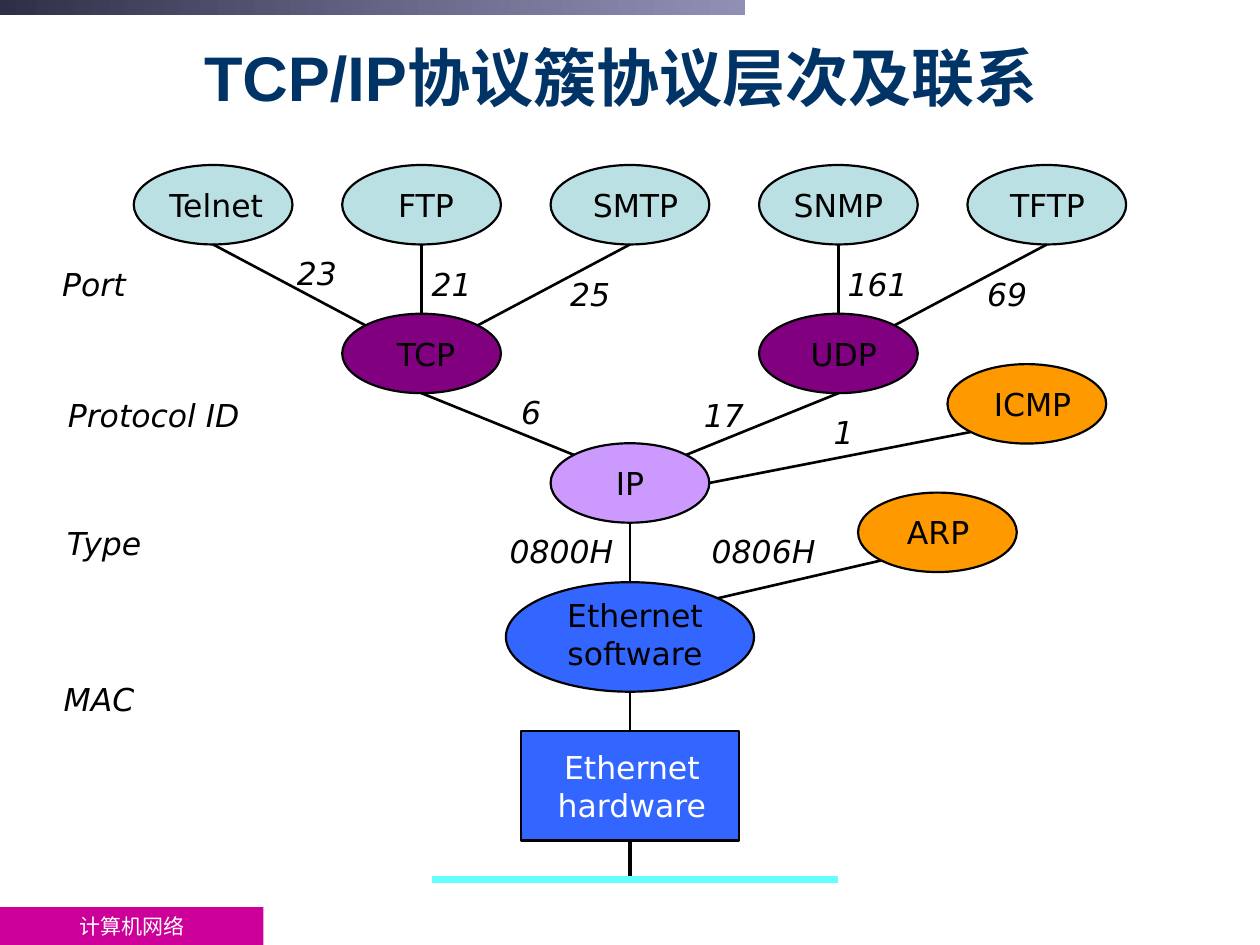
from dataclasses import dataclass
from math import sqrt
from typing import NamedTuple

from lxml import etree
from pptx import Presentation
from pptx.dml.color import RGBColor
from pptx.enum.shapes import MSO_CONNECTOR, MSO_SHAPE
from pptx.enum.text import MSO_ANCHOR, PP_ALIGN
from pptx.oxml.ns import qn
from pptx.util import Pt

OVAL, RECT = MSO_SHAPE.OVAL, MSO_SHAPE.RECTANGLE
STRAIGHT = MSO_CONNECTOR.STRAIGHT
MIDDLE, CENTER = MSO_ANCHOR.MIDDLE, PP_ALIGN.CENTER


@dataclass(frozen=True)
class Theme:
    black: str = "000000"
    white: str = "FFFFFF"
    navy: str = "003366"
    pale: str = "BBE0E3"
    purple: str = "800080"
    lilac: str = "CC99FF"
    orange: str = "FF9900"
    blue: str = "3366FF"
    cyan: str = "66FFFF"
    pink: str = "CC0099"
    dark: str = "2F2F47"
    slate: str = "666699"
    font: str = "DejaVu Sans"
    head_font: str = "Arial"
    foot_font: str = "Times New Roman"
    head: float = 36
    body: float = 18
    foot: float = 12
    edge: float = 1.25
    link: float = 1.5


T = Theme()
LINE = 21.6  # height of one line of body text


class Box(NamedTuple):
    x: float
    y: float
    w: float
    h: float


class Node(NamedTuple):
    text: str
    x: float  # centre
    y: float
    fill: str
    span: float  # caption width
    shift: float = 0  # caption offset from the centre
    w: float = 90.7
    h: float = 45.4
    kind: int = OVAL
    ink: str = T.black
    rows: int = 1
    lift: float = 0


class Link(NamedTuple):
    start: str
    side: str
    end: str
    goal: str


class Label(NamedTuple):
    text: str
    x: float
    y: float
    w: float


def col(i: int) -> float:
    return 360 + 119.1 * (i - 2)


APPS, HOSTS = 117, 202  # centre lines of the two upper rows
NODES = [
    Node("Ethernet hardware", col(2), 449, T.blue, 124.6, 1.1, 124.6, 62.6,
         RECT, T.white, rows=2),
    Node("Ethernet software", col(2), 364, T.blue, 79.2, 2.9, 141.8, 62.6,
         rows=2, lift=1.8),
    Node("ARP", 535.7, 304.2, T.orange, 45.4, 0.4),
    Node("IP", col(2), 276, T.lilac, 33.8),
    Node("ICMP", 586.8, 230.8, T.orange, 62.6, 3.2),
    Node("UDP", col(3), HOSTS, T.purple, 39.6, 3),
    Node("TCP", col(1), HOSTS, T.purple, 39.6, 2.5),
    Node("TFTP", col(4), APPS, T.pale, 56.9, 0.4),
    Node("SNMP", col(3), APPS, T.pale, 56.9),
    Node("SMTP", col(2), APPS, T.pale, 62.6, 3.2),
    Node("FTP", col(1), APPS, T.pale, 51.1, 2.5),
    Node("Telnet", col(0), APPS, T.pale, 62.6, 1.8),
]

# Sides are compass points on the outline of a node.
LINKS = [
    Link("Telnet", "S", "TCP", "NW"),
    Link("FTP", "S", "TCP", "N"),
    Link("SMTP", "S", "TCP", "NE"),
    Link("SNMP", "S", "UDP", "N"),
    Link("TFTP", "S", "UDP", "NE"),
    Link("TCP", "S", "IP", "NW"),
    Link("ICMP", "SW", "IP", "E"),
    Link("UDP", "S", "IP", "NE"),
    Link("IP", "S", "Ethernet software", "N"),
    Link("ARP", "SW", "Ethernet software", "NE"),
    Link("Ethernet software", "S", "Ethernet hardware", "N"),
]

LABELS = [
    Label("Port", 31, 151.2, 45.4),
    Label("Protocol ID", 36.7, 226.1, 102.2),
    Label("Type", 31, 299.5, 56.9),
    Label("MAC", 31, 388.8, 51.1),
    Label("23", 167, 145.4, 28.1),
    Label("21", 241.2, 151.2, 33.8),
    Label("25", 320.4, 157, 33.8),
    Label("161", 478.8, 151.2, 45.4),
    Label("69", 558.7, 157, 33.8),
    Label("6", 292.3, 224.6, 22.3),
    Label("17", 399.6, 226.1, 28.1),
    Label("1", 468, 236.2, 28.1),
    Label("0800H", 286.6, 303.8, 68.4),
    Label("0806H", 405.4, 303.8, 61.9),
]


def rgb(code: str) -> RGBColor:
    return RGBColor.from_string(code)


def shape(slide, kind: int, box: Box, fill: str = "", edge: str = ""):
    item = slide.shapes.add_shape(kind, *map(Pt, box))
    item.shadow.inherit = False
    if fill:
        item.fill.solid()
        item.fill.fore_color.rgb = rgb(fill)
    if edge:
        item.line.color.rgb = rgb(edge)
        item.line.width = Pt(T.edge)
    else:
        item.line.fill.background()
    return item


def write(item, text: str, ink: str = T.black, size: float = T.body,
          font: str = T.font, bold: bool = False, slant: bool = False) -> None:
    frame = item.text_frame
    frame.word_wrap = True
    frame.vertical_anchor = MIDDLE
    frame.margin_left = frame.margin_right = 0
    frame.margin_top = frame.margin_bottom = 0
    para = frame.paragraphs[0]
    para.text = text
    para.alignment = CENTER
    face = para.font
    face.name, face.size, face.color.rgb = font, Pt(size), rgb(ink)
    face.bold, face.italic = bold, slant


def text_box(slide, box: Box, text: str, **style) -> None:
    write(slide.shapes.add_textbox(*map(Pt, box)), text, **style)


def line(slide, start: tuple[float, float], end: tuple[float, float],
         width: float = T.link, ink: str = T.black) -> None:
    item = slide.shapes.add_connector(STRAIGHT, *map(Pt, (*start, *end)))
    item.line.color.rgb = rgb(ink)
    item.line.width = Pt(width)
    etree.SubElement(item.element.spPr, qn("a:effectLst"))


def port(node: Node, side: str) -> tuple[float, float]:
    """Point where a link meets the outline on the given compass side."""
    dx = ("E" in side) - ("W" in side)
    dy = ("S" in side) - ("N" in side)
    scale = 2 * sqrt(abs(dx) + abs(dy))
    return node.x + dx * node.w / scale, node.y + dy * node.h / scale


def frame_bars(slide) -> None:
    foot = shape(slide, RECT, Box(0, 518.4, 150.5, 21.6), T.pink)
    write(foot, "计算机网络", T.white, T.foot, T.foot_font)
    bar = shape(slide, RECT, Box(0, 0, 425.5, 8.6))
    bar.fill.gradient()
    bar.fill.gradient_angle = 0
    for stop, ink, place in zip(bar.fill.gradient_stops, (T.dark, T.slate), (0, 1)):
        stop.color.rgb, stop.position = rgb(ink), place
    last = list(bar.element.spPr.iter(qn("a:srgbClr")))[-1]
    etree.SubElement(last, qn("a:alpha"), val="72000")


def main() -> None:
    deck = Presentation()
    deck.slide_width, deck.slide_height = Pt(720), Pt(540)
    slide = deck.slides.add_slide(deck.slide_layouts[6])
    frame_bars(slide)
    for n in NODES:
        shape(slide, n.kind, Box(n.x - n.w / 2, n.y - n.h / 2, n.w, n.h), n.fill, T.black)
    text_box(slide, Box(93.6, 15.1, 522, 56.9), "TCP/IP协议簇协议层次及联系",
             ink=T.navy, size=T.head, font=T.head_font, bold=True)
    for n in reversed(NODES):
        high = n.rows * LINE
        text_box(slide, Box(n.x + n.shift - n.span / 2, n.y - n.lift - high / 2,
                            n.span, high), n.text, ink=n.ink)
    named = {n.text: n for n in NODES}
    for k in LINKS:
        line(slide, port(named[k.start], k.side), port(named[k.end], k.goal))
    line(slide, port(named["Ethernet hardware"], "S"), (col(2), 504), 2.5)
    for b in LABELS:
        text_box(slide, Box(b.x, b.y, b.w, LINE), b.text, slant=True)
    line(slide, (247, 502.6), (478.8, 502.6), 3.5, T.cyan)
    deck.save("out.pptx")


if __name__ == "__main__":
    main()
